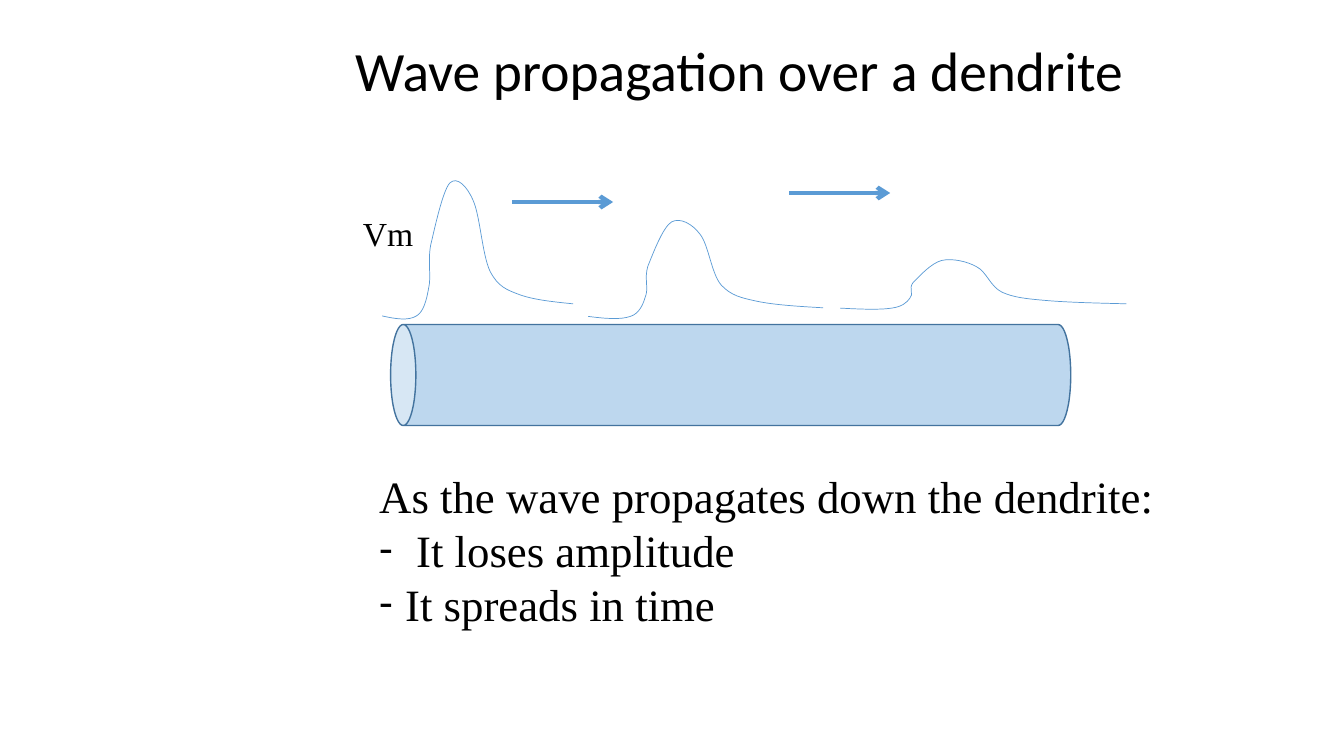
from lxml import etree
from pptx import Presentation
from pptx.dml.color import RGBColor
from pptx.enum.shapes import MSO_CONNECTOR as Connector, MSO_SHAPE as Shape
from pptx.enum.text import MSO_ANCHOR as Anchor, MSO_AUTO_SIZE as AutoSize, PP_ALIGN as Align
from pptx.oxml.ns import qn
from pptx.util import Emu, Inches, Pt

BLACK = RGBColor(0x00, 0x00, 0x00)
SIGNAL_BLUE = RGBColor(0x5B, 0x9B, 0xD5)
DENDRITE_FILL = RGBColor(0xBD, 0xD7, 0xEE)
DENDRITE_EDGE = RGBColor(0x43, 0x73, 0x9E)
SERIF = "Times New Roman"

# Boxes are (left, top, width, height) in px
TITLE = ("Wave propagation over a dendrite", (345, 42, 832, 126))
AXIS_LABEL = ("Vm", (353, 208, 72, 50))
BODY_BOX = (369, 464, 802, 173)
# (text, bullet indent in px)
BODY = [
    ("As the wave propagates down the dendrite:", 0),
    ("It loses amplitude", 37),
    ("It spreads in time", 26),
]
DENDRITE_BOX = (680, 35, 101, 680)
WAVE_BOXES = [(382, 176, 191, 145), (588, 217, 235, 103), (840, 258, 286, 52)]
# One pulse in thousandths of its box: a start, then Bezier points in threes
PULSE = [
    (1000, 882),
    (894, 868), (794, 854), (720, 819),
    (651, 785), (608, 764), (566, 660),
    (524, 549), (513, 271), (476, 167),
    (444, 69), (392, 0), (354, 49),
    (317, 104), (275, 361), (254, 479),
    (238, 597), (259, 694), (243, 778),
    (233, 854), (217, 938), (180, 965),
    (138, 1000), (69, 986), (0, 965),
]
ARROW_STARTS = [(512, 202), (789, 193)]
ARROW_LENGTH = 101


def px(length):
    return Emu(round(length * 914400 / 100.8))


def place(shape, box):
    shape.left, shape.top, shape.width, shape.height = map(px, box)


def write(para, text, *, size, font=SERIF, line_spacing=1.0, indent=0):
    """Fill a paragraph; a non-zero indent gives it a hanging dash."""
    para.alignment = Align.LEFT
    para.line_spacing = line_spacing
    para.space_before = para.space_after = Pt(0)
    span = para.add_run()
    span.text = text
    span.font.size, span.font.name = Pt(size), font
    span.font.color.rgb = BLACK
    properties = para._p.get_or_add_pPr()
    properties.set("marL", str(px(indent)))
    properties.set("indent", str(px(-indent)))
    if indent:
        etree.SubElement(properties, qn("a:buFont")).set("typeface", "Calibri")
        etree.SubElement(properties, qn("a:buChar")).set("char", "-")
    else:
        etree.SubElement(properties, qn("a:buNone"))


def draw_wave(slide, box):
    left, top, width, height = box
    points = [(px(left + width * u / 1000), px(top + height * v / 1000)) for u, v in PULSE]
    builder = slide.shapes.build_freeform(*points[0])
    builder.add_line_segments(points[1:], close=False)
    wave = builder.convert_to_shape()
    wave.shadow.inherit = False
    wave.fill.background()
    wave.line.color.rgb, wave.line.width = SIGNAL_BLUE, Pt(0.5)
    # Join each three straight segments into one cubic curve
    outline = wave._element.xpath(".//a:path")[0]
    segments = outline.findall(qn("a:lnTo"))
    for start in range(0, len(segments), 3):
        curve = etree.SubElement(outline, qn("a:cubicBezTo"))
        for segment in segments[start:start + 3]:
            curve.append(segment[0])
            outline.remove(segment)


def draw_arrow(slide, x, y):
    arrow = slide.shapes.add_connector(
        Connector.STRAIGHT, px(x), px(y), px(x + ARROW_LENGTH), px(y))
    arrow.line.color.rgb, arrow.line.width = SIGNAL_BLUE, Pt(3)
    etree.SubElement(arrow.line._get_or_add_ln(), qn("a:tailEnd")).set("type", "arrow")
    etree.SubElement(arrow._element.spPr, qn("a:effectLst"))


def draw_dendrite(slide):
    dendrite = slide.shapes.add_shape(Shape.CAN, *map(px, DENDRITE_BOX))
    dendrite.rotation = 270
    dendrite.shadow.inherit = False
    dendrite.fill.solid()
    dendrite.fill.fore_color.rgb = DENDRITE_FILL
    dendrite.line.color.rgb, dendrite.line.width = DENDRITE_EDGE, Pt(1)


def main():
    deck = Presentation()
    deck.slide_width, deck.slide_height = Inches(13.33), Inches(7.5)
    slide = deck.slides.add_slide(deck.slide_layouts[1])
    title, body = slide.placeholders
    for holder, box in ((title, TITLE[1]), (body, BODY_BOX)):
        place(holder, box)
        holder.text_frame.auto_size = AutoSize.NONE
        holder.text_frame.vertical_anchor = Anchor.TOP
    title.text_frame.margin_top = px(2)
    write(title.text_frame.paragraphs[0], TITLE[0], size=39.6, font="Calibri", line_spacing=0.9)

    draw_dendrite(slide)
    label = slide.shapes.add_textbox(*map(px, AXIS_LABEL[1]))
    label.text_frame.word_wrap = False
    write(label.text_frame.paragraphs[0], AXIS_LABEL[0], size=24)
    for box in WAVE_BOXES:
        draw_wave(slide, box)
    for x, y in ARROW_STARTS:
        draw_arrow(slide, x, y)

    frame = body.text_frame
    for number, (text, indent) in enumerate(BODY):
        para = frame.add_paragraph() if number else frame.paragraphs[0]
        write(para, text, size=32, indent=indent)
    deck.save("out.pptx")


if __name__ == "__main__":
    main()
